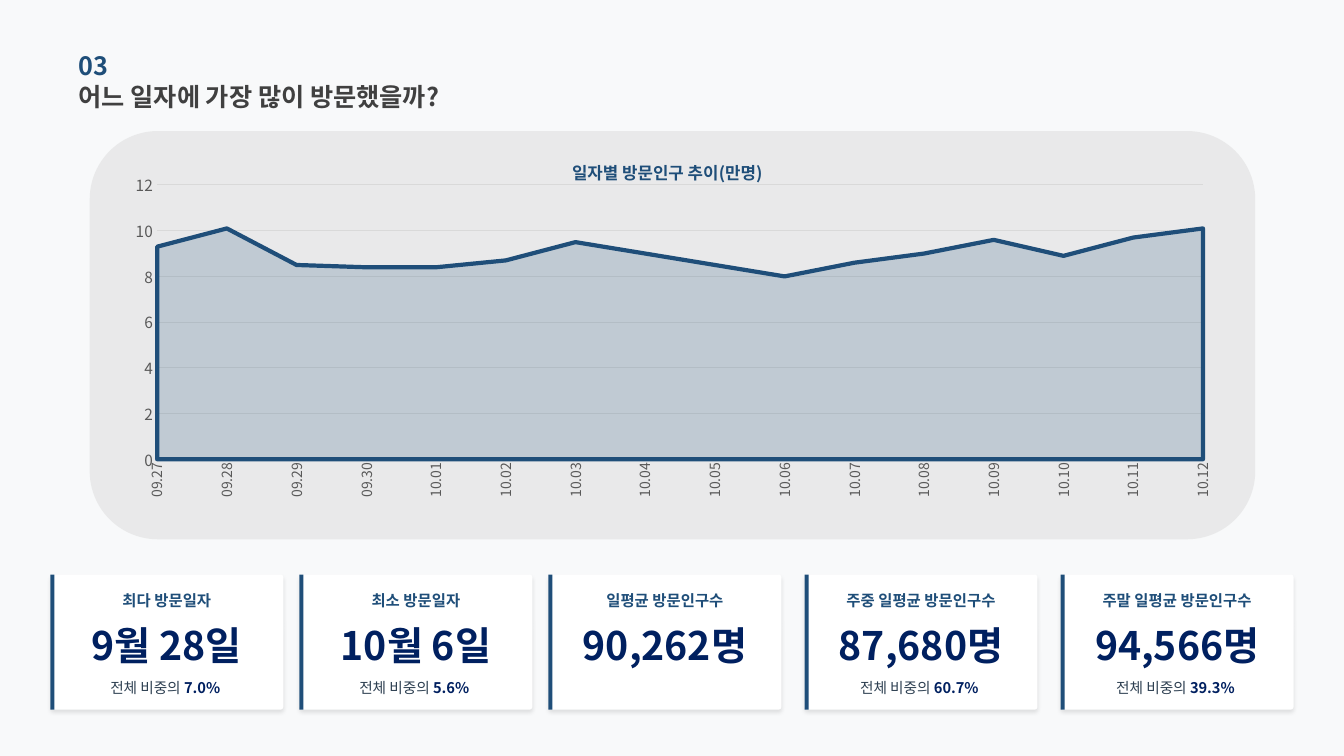
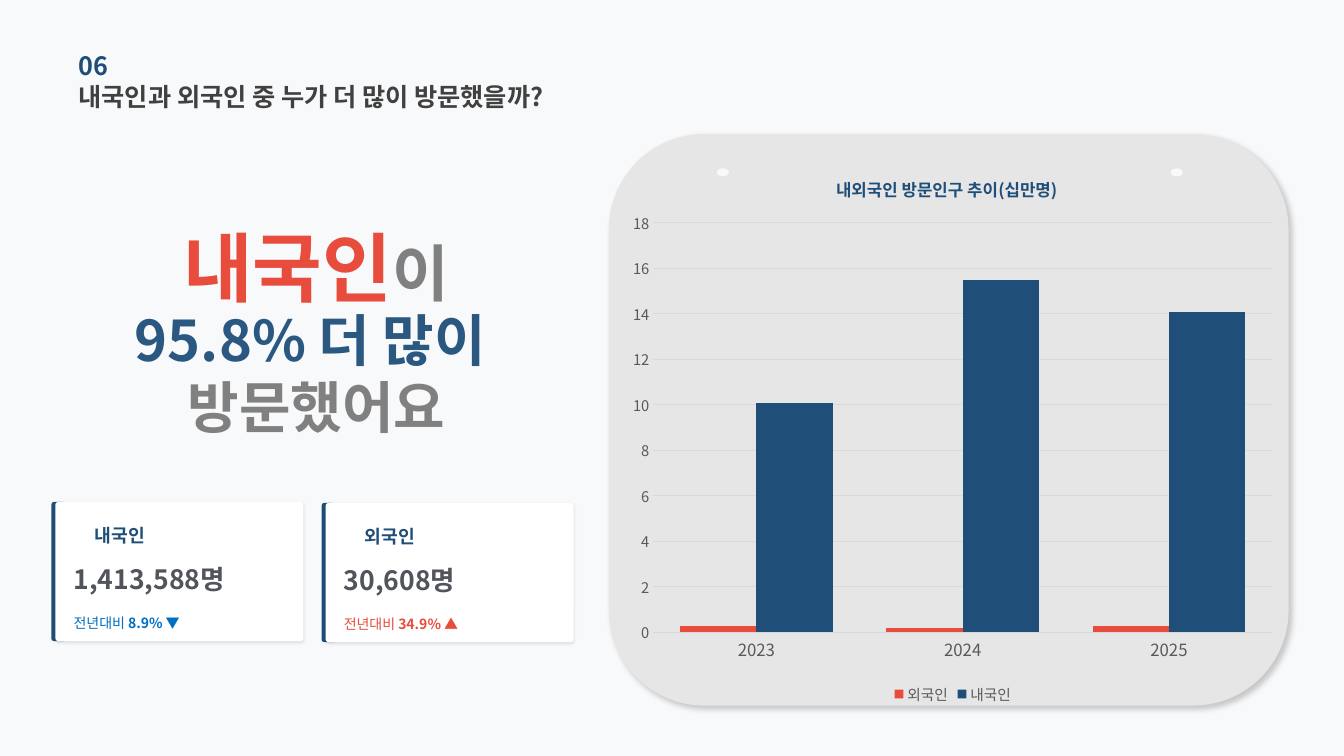
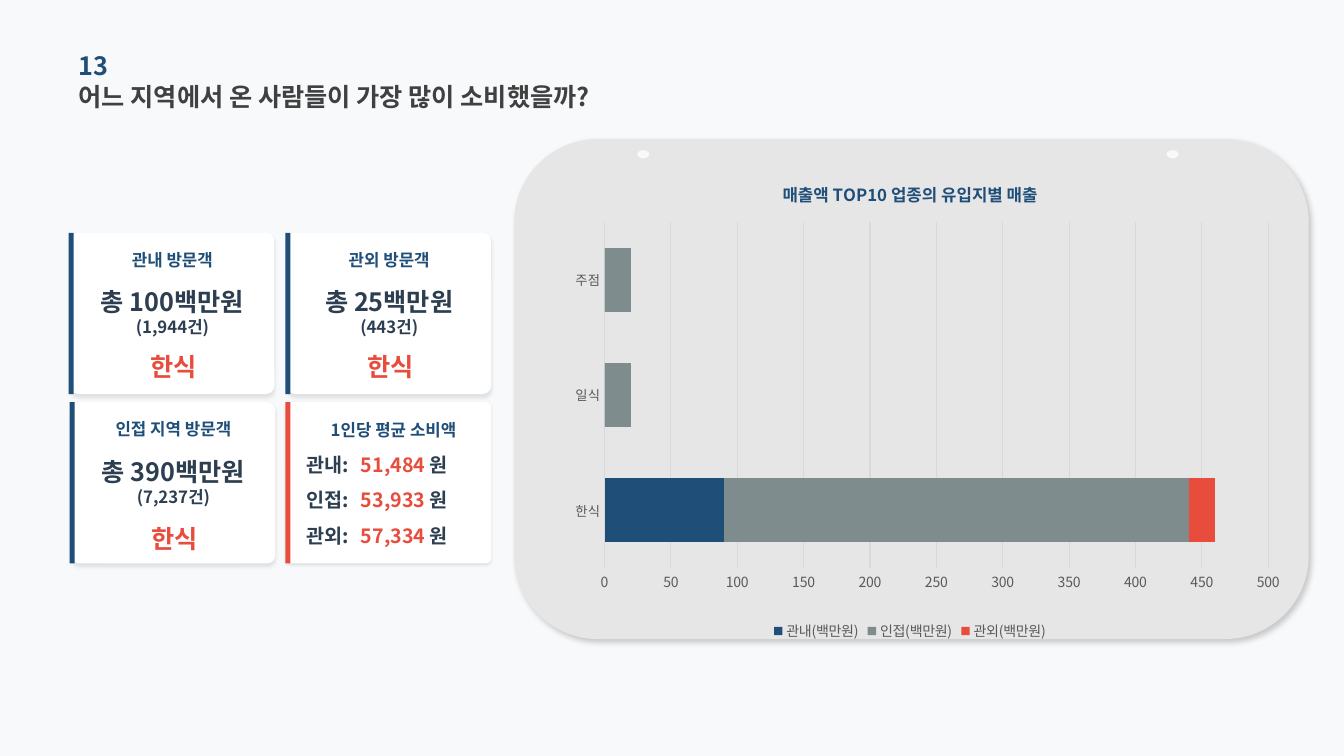
from dataclasses import dataclass
from typing import NamedTuple, Optional

from lxml.etree import SubElement
from pptx import Presentation
from pptx.chart.data import CategoryChartData
from pptx.dml.color import RGBColor
from pptx.enum.chart import XL_CHART_TYPE as CT, XL_LEGEND_POSITION as LP, XL_TICK_MARK as TM
from pptx.enum.shapes import MSO_SHAPE as SHAPE
from pptx.enum.text import MSO_ANCHOR as ANCHOR, PP_ALIGN as ALIGN
from pptx.oxml.ns import qn
from pptx.util import Inches, Pt

FONT = "Noto Sans CJK KR"
CELL = 0.1
NAVY = RGBColor(0x1F, 0x4E, 0x79)
DEEP = RGBColor(0x00, 0x20, 0x60)
STEEL = RGBColor(0x2B, 0x58, 0x80)
BLUE = RGBColor(0x00, 0x70, 0xC0)
RED = RGBColor(0xE7, 0x4C, 0x3C)
SLATE = RGBColor(0x2C, 0x3E, 0x50)
INK = RGBColor(0x40, 0x40, 0x40)
GRAPHITE = RGBColor(0x51, 0x54, 0x5A)
AXIS = RGBColor(0x59, 0x59, 0x59)
GRAY = RGBColor(0x80, 0x80, 0x80)
TEAL_GRAY = RGBColor(0x7F, 0x8C, 0x8D)
GRID = RGBColor(0xD9, 0xD9, 0xD9)
SILVER = RGBColor(0xD0, 0xCE, 0xCE)
PANEL = RGBColor(0xE7, 0xE6, 0xE6)
PAPER = RGBColor(0xF8, 0xF9, 0xFA)
WHITE = RGBColor(0xFF, 0xFF, 0xFF)


class Box(NamedTuple):
    col: float
    row: float
    cols: float
    rows: float

    def emu(self) -> list:
        return [Inches(n * CELL) for n in self]

    def inner(self, row: float, rows: float, col: float = 0) -> "Box":
        return Box(self.col + col, self.row + row, self.cols - col, rows)


class Run(NamedTuple):
    text: str
    color: Optional[RGBColor] = None
    size: Optional[float] = None
    bold: Optional[bool] = None
    new_line: bool = False


class Shadow(NamedTuple):
    alpha: int
    blur: float
    dist: float
    angle: int


class Series(NamedTuple):
    name: str
    values: tuple
    color: RGBColor


CARD_SHADOW = Shadow(10, 3, 2, 90)
SOFT_SHADOW = Shadow(10, 2, 1, 90)
PANEL_SHADOW = Shadow(20, 4, 3, 45)


@dataclass
class ChartPlan:
    kind: CT
    box: Box
    title: str
    title_at: tuple
    plot: tuple
    cats: tuple
    series: tuple
    top: float
    step: float
    cat_size: float
    val_size: float
    legend_size: Optional[float] = None
    gap: Optional[int] = None
    overlap: int = 0


@dataclass
class DateCard:
    col: float
    label: str
    value: str
    share: str = ""


@dataclass
class VisitorCard:
    box: Box
    label: str
    value: str
    change: str
    color: RGBColor


@dataclass
class SpendCard:
    col: float
    row: float
    label: str
    amount: str
    count: str
    menu_row: float = 10.9


def style(font, size: float, color: RGBColor, bold: bool = False) -> None:
    font.name = FONT
    SubElement(font._element, qn("a:ea")).set("typeface", FONT)
    font.size, font.bold = Pt(size), bold
    font.color.rgb = color


def set_alpha(sp_pr, percent: int) -> None:
    clr = sp_pr.find(qn("a:solidFill")).find(qn("a:srgbClr"))
    SubElement(clr, qn("a:alpha")).set("val", str(percent * 1000))


def add_box(s, box: Box, color: RGBColor, kind=SHAPE.RECTANGLE, adj: Optional[float] = None,
            shadow: Optional[Shadow] = None, alpha: Optional[int] = None) -> None:
    sp = s.shapes.add_shape(kind, *box.emu())
    sp.fill.solid()
    sp.fill.fore_color.rgb = color
    sp.line.fill.background()
    sp.shadow.inherit = False
    sp_pr = sp._element.spPr
    if adj is not None:
        sp.adjustments[0] = adj
    if alpha is not None:
        set_alpha(sp_pr, alpha)
    if shadow:
        outer = SubElement(sp_pr.find(qn("a:effectLst")), qn("a:outerShdw"))
        outer.set("blurRad", str(Pt(shadow.blur)))
        outer.set("dist", str(Pt(shadow.dist)))
        outer.set("dir", str(shadow.angle * 60000))
        outer.set("algn", "ctr")
        outer.set("rotWithShape", "0")
        clr = SubElement(outer, qn("a:srgbClr"))
        clr.set("val", "000000")
        SubElement(clr, qn("a:alpha")).set("val", str(shadow.alpha * 1000))


def add_text(s, box: Box, size: float, color: RGBColor, *paras: tuple,
             bold: bool = True, align=ALIGN.LEFT) -> None:
    tf = s.shapes.add_textbox(*box.emu()).text_frame
    tf.word_wrap = True
    tf.vertical_anchor = ANCHOR.MIDDLE
    tf.margin_left = tf.margin_right = tf.margin_top = tf.margin_bottom = 0
    for i, runs in enumerate(paras):
        p = tf.add_paragraph() if i else tf.paragraphs[0]
        p.alignment = align
        style(p.font, size, color, bold)
        for run in runs:
            if run.new_line:
                p.add_line_break()
            r = p.add_run()
            r.text = run.text
            if run.color is not None:
                r.font.color.rgb = run.color
            if run.size is not None:
                r.font.size = Pt(run.size)
            if run.bold is not None:
                r.font.bold = run.bold


def set_layout(layout, **parts) -> None:
    manual = SubElement(layout, qn("c:manualLayout"))
    for tag, val in parts.items():
        SubElement(manual, qn(f"c:{tag}")).set("val", str(val))


def add_chart(s, plan: ChartPlan) -> None:
    data = CategoryChartData()
    data.categories = plan.cats
    for series in plan.series:
        data.add_series(series.name, series.values)
    chart = s.shapes.add_chart(plan.kind, *plan.box.emu(), data).chart
    style(chart.font, 10, AXIS)

    chart.has_title = True
    title = chart.chart_title
    p = title.text_frame.paragraphs[0]
    style(p.font, 12, NAVY, True)
    p.add_run().text = plan.title
    title.include_in_layout = False
    node = title._element
    layout = node.find(qn("c:layout"))
    if layout is None:
        layout = SubElement(node, qn("c:layout"))
        node.find(qn("c:tx")).addnext(layout)
    x, y = plan.title_at
    set_layout(layout, xMode="edge", yMode="edge", x=x, y=y)

    area = chart._chartSpace.chart.plotArea
    layout = area.find(qn("c:layout"))
    if layout is None:
        layout = SubElement(area, qn("c:layout"))
        area.insert(0, layout)
    x, y, w, h = plan.plot
    set_layout(layout, layoutTarget="inner", xMode="edge", yMode="edge", x=x, y=y, w=w, h=h)

    for axis, size in ((chart.category_axis, plan.cat_size), (chart.value_axis, plan.val_size)):
        axis.major_tick_mark = axis.minor_tick_mark = TM.NONE
        style(axis.tick_labels.font, size, AXIS)
    cat, val = chart.category_axis, chart.value_axis
    cat.has_major_gridlines = False
    val.has_major_gridlines = True
    for line in (cat.format.line, val.major_gridlines.format.line):
        line.color.rgb = GRID
        line.width = Pt(0.75)
    val.format.line.fill.background()
    val.minimum_scale, val.maximum_scale, val.major_unit = 0, plan.top, plan.step

    chart.has_legend = plan.legend_size is not None
    if chart.has_legend:
        chart.legend.position = LP.BOTTOM
        chart.legend.include_in_layout = False
        style(chart.legend.font, plan.legend_size, AXIS)

    plot = chart.plots[0]
    plot.vary_by_categories = False
    if plan.gap is not None:
        plot.gap_width, plot.overlap = plan.gap, plan.overlap
    for series, source in zip(plot.series, plan.series):
        series.format.fill.solid()
        series.format.fill.fore_color.rgb = source.color
        if plan.kind == CT.AREA:
            series.format.line.color.rgb = source.color
            series.format.line.width = Pt(3)
            set_alpha(series._element.find(qn("c:spPr")), 20)
    if plan.kind == CT.AREA:
        val._element.find(qn("c:crossBetween")).set("val", "midCat")
        body = cat._element.find(qn("c:txPr")).find(qn("a:bodyPr"))
        body.set("rot", "-5400000")
        body.set("vert", "horz")


def new_slide(prs, number: str, question: str):
    s = prs.slides.add_slide(prs.slide_layouts[6])
    s.background.fill.solid()
    s.background.fill.fore_color.rgb = PAPER
    add_text(s, Box(7.8, 7.5, 60, 4.1), 18, INK, (Run(question),))
    add_text(s, Box(7.8, 4.4, 60, 4.1), 18, NAVY, (Run(number),))
    return s


def add_panel(s, box: Box, holes: tuple, hole_row: float) -> None:
    add_box(s, box, PANEL, SHAPE.ROUNDED_RECTANGLE, shadow=PANEL_SHADOW)
    for col in holes:
        add_box(s, Box(col, hole_row, 1.2, 0.8), PAPER, SHAPE.OVAL)


def add_card(s, box: Box, adj: float, shadow: Shadow, bar: Box, color: RGBColor = NAVY) -> None:
    add_box(s, box, WHITE, SHAPE.ROUNDED_RECTANGLE, adj, shadow)
    add_box(s, bar, color)


def add_date_card(s, card: DateCard) -> None:
    box = Box(card.col, 57, 23.1, 13.4)
    add_card(s, box, 0.02, CARD_SHADOW, box._replace(cols=0.4))
    add_text(s, box.inner(1.5, 2.2), 11, NAVY, (Run(card.label),), align=ALIGN.CENTER)
    add_text(s, box.inner(5.1, 3.8), 28, DEEP, (Run(card.value),), align=ALIGN.CENTER)
    if card.share:
        add_text(s, box.inner(10.2, 2.1), 10.5, SLATE,
                 (Run("전체 비중의 "), Run(f"{card.share} ", DEEP, bold=True)),
                 bold=False, align=ALIGN.CENTER)


def add_visitor_card(s, card: VisitorCard) -> None:
    box = card.box
    add_box(s, Box(box.col - 0.4, box.row, 1.5, box.rows), NAVY, SHAPE.ROUNDED_RECTANGLE)
    add_box(s, box, WHITE, SHAPE.ROUNDED_RECTANGLE, 0.02, SOFT_SHADOW)
    add_text(s, box.inner(1.9, 2.8, 3.9), 13, NAVY, (Run(card.label),))
    add_text(s, box.inner(5.7, 3.9, 1.8), 19, GRAPHITE, (Run(card.value),))
    add_text(s, box.inner(9.7, 4.5, 1.8), 10, card.color,
             (Run("전년대비 "), Run(card.change, bold=True)), bold=False)


def add_spend_card(s, card: SpendCard) -> None:
    box = Box(card.col, card.row, 20.2, 16)
    add_card(s, box, 0.05, CARD_SHADOW, Box(box.col - 0.2, box.row, 0.5, box.rows))
    add_text(s, box.inner(1.1, 3.1), 12, NAVY, (Run(card.label),), align=ALIGN.CENTER)
    add_text(s, box.inner(5.5, 4.7), 18, SLATE,
             (Run(card.amount), Run(card.count, size=12, new_line=True)), align=ALIGN.CENTER)
    add_text(s, box.inner(card.menu_row, 4.7, 0.3), 18, RED, (Run("한식"),), align=ALIGN.CENTER)


def build_dates(prs) -> None:
    s = new_slide(prs, "03", "어느 일자에 가장 많이 방문했을까?")
    add_box(s, Box(8.9, 13, 115.6, 40.5), SILVER, SHAPE.ROUNDED_RECTANGLE, alpha=36)
    for card in (
        DateCard(5.0, "최다 방문일자", "9월 28일", "7.0%"),
        DateCard(29.7, "최소 방문일자", "10월 6일", "5.6%"),
        DateCard(54.4, "일평균 방문인구수", "90,262명"),
        DateCard(79.8, "주중 일평균 방문인구수", "87,680명", "60.7%"),
        DateCard(105.2, "주말 일평균 방문인구수", "94,566명", "39.3%"),
    ):
        add_date_card(s, card)
    days = [f"09.{d}" for d in range(27, 31)] + [f"10.{d:02}" for d in range(1, 13)]
    visits = (9.3, 10.1, 8.5, 8.4, 8.4, 8.7, 9.5, 9, 8.5, 8, 8.6, 9, 9.6, 8.9, 9.7, 10.1)
    add_chart(s, ChartPlan(
        CT.AREA, Box(10.8, 13.3, 111.3, 40.8), "일자별 방문인구 추이(만명)",
        (0.41, 0.05), (0.043, 0.124, 0.932, 0.667), tuple(days),
        (Series("Series 1", visits, NAVY),), 12, 2, 10, 11))


def build_visitors(prs) -> None:
    s = new_slide(prs, "06", "내국인과 외국인 중 누가 더 많이 방문했을까?")
    add_panel(s, Box(60.4, 13.3, 67.4, 56.7), (71.1, 116.1), 16.7)
    add_text(s, Box(9.9, 24, 42.9, 4.8), 54, RED,
             (Run("내국인"), Run("이", GRAY, 44)), align=ALIGN.CENTER)
    add_text(s, Box(3.8, 32.8, 55.2, 8.4), 40, STEEL,
             (Run("95.8% 더 많이 "),), (Run("방문했어요", GRAY),), align=ALIGN.CENTER)
    for card in (
        VisitorCard(Box(5.5, 49.8, 24.6, 13.8), "내국인", "1,413,588명", "8.9% ▼", BLUE),
        VisitorCard(Box(32.3, 49.9, 24.6, 13.8), "외국인", "30,608명", "34.9% ▲", RED),
    ):
        add_visitor_card(s, card)
    add_chart(s, ChartPlan(
        CT.COLUMN_CLUSTERED, Box(61.5, 14.8, 66, 55.5), "내외국인 방문인구 추이(십만명)",
        (0.32, 0.04), (0.05, 0.132, 0.93, 0.732), ("2023", "2024", "2025"),
        (Series("외국인", (0.3, 0.2, 0.3), RED), Series("내국인", (10.1, 15.5, 14.1), NAVY)),
        18, 2, 12, 10.5, 10.5, 70))


def build_spending(prs) -> None:
    s = new_slide(prs, "13", "어느 지역에서 온 사람들이 가장 많이 소비했을까?")
    add_panel(s, Box(51, 13.8, 78.8, 49.6), (63.2, 115.7), 14.9)
    for card in (
        SpendCard(7, 23.1, "관내 방문객", "총 100백만원", "(1,944건)"),
        SpendCard(28.5, 23.1, "관외 방문객", "총 25백만원", "(443건)"),
        SpendCard(7.1, 39.9, "인접 지역 방문객", "총 390백만원", "(7,237건)", 11.2),
    ):
        add_spend_card(s, card)
    box = Box(28.3, 39.9, 20.4, 16)
    add_card(s, box, 0.03, SOFT_SHADOW, box._replace(cols=0.5), RED)
    add_text(s, box.inner(1.5, 2.5, 4.5), 12, NAVY, (Run("1인당 평균 소비액"),))
    prices = (("관내:", "51,484 "), ("인접:", "53,933 "), ("관외:", "57,334 "))
    for i, (region, price) in enumerate(prices):
        row = 4.7 + 3.5 * i
        add_text(s, box.inner(row, 3, 2.1), 14, SLATE, (Run(region),))
        add_text(s, box.inner(row, 3, 7.5), 14, RED, (Run(price), Run("원", SLATE)))
    add_chart(s, ChartPlan(
        CT.BAR_STACKED, Box(52.2, 15.6, 76.1, 48.4), "매출액 TOP10 업종의 유입지별 매출",
        (0.33, 0.04), (0.102, 0.133, 0.865, 0.709), ("한식", "일식", "주점"),
        (Series("관내(백만원)", (90, 0, 0), NAVY),
         Series("인접(백만원)", (350, 20, 20), TEAL_GRAY),
         Series("관외(백만원)", (20, 0, 0), RED)),
        500, 50, 9.5, 10, 10, 80, 100))


def main() -> None:
    prs = Presentation()
    prs.slide_width, prs.slide_height = Inches(13.33), Inches(7.5)
    for build in (build_dates, build_visitors, build_spending):
        build(prs)
    prs.save("out.pptx")


if __name__ == "__main__":
    main()
